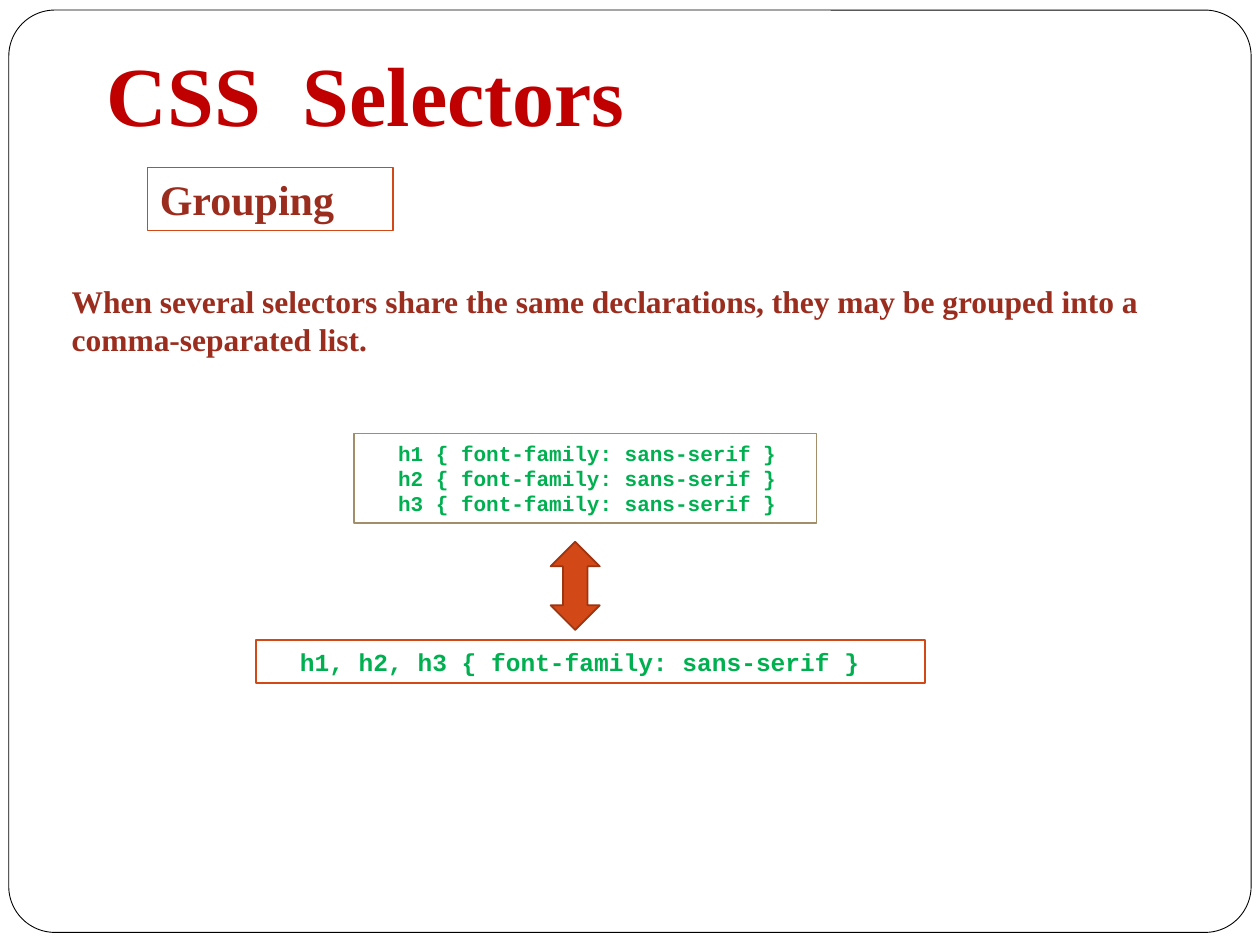
import dataclasses
import typing

import pptx
import pptx.dml.color
import pptx.enum.shapes
import pptx.enum.text
import pptx.util

Inches = pptx.util.Inches
Pt = pptx.util.Pt
Preset = pptx.enum.shapes.MSO_SHAPE
Anchor = pptx.enum.text.MSO_ANCHOR
Align = pptx.enum.text.PP_ALIGN


@dataclasses.dataclass(frozen=True)
class Theme:
    paper: str = "FFFFFF"
    border: str = "000000"
    heading: str = "C00000"
    prose: str = "9B2D1F"
    code: str = "00B050"
    accent: str = "D34817"
    accent_edge: str = "9C3511"
    sand: str = "A28E6A"
    serif: str = "Times New Roman"
    mono: str = "Courier New"
    heading_size: int = 48
    subheading_size: int = 24
    prose_size: int = 18
    rules_size: int = 12
    grouped_size: int = 14
    border_width: float = 0.5
    box_width: float = 1


THEME = Theme()


class Area(typing.NamedTuple):
    left: float
    top: float
    width: float
    height: float

    def lengths(self) -> list[pptx.util.Length]:
        return [Inches(value) for value in self]


class Style(typing.NamedTuple):
    font: str
    size: float
    color: str
    indent: float = 0.1
    anchor: Anchor = Anchor.TOP


@dataclasses.dataclass(frozen=True)
class Passage:
    area: Area
    lines: tuple[str, ...]
    style: Style
    outline: typing.Optional[str] = None


def rgb(color: str) -> pptx.dml.color.RGBColor:
    return pptx.dml.color.RGBColor.from_string(color)


def apply_format(target: typing.Any, values: dict[str, typing.Any]) -> None:
    for name, value in values.items():
        setattr(target, name, value)


def draw_shape(slide, preset: Preset, area: Area, fill: str, outline: str, width: float):
    shape = slide.shapes.add_shape(preset, *area.lengths())
    shape.shadow.inherit = False
    shape.fill.solid()
    shape.fill.fore_color.rgb = rgb(fill)
    shape.line.color.rgb = rgb(outline)
    shape.line.width = Pt(width)
    return shape


def draw_passage(slide, passage: Passage) -> None:
    if passage.outline:
        holder = draw_shape(slide, Preset.RECTANGLE, passage.area,
                            THEME.paper, passage.outline, THEME.box_width)
    else:
        holder = slide.shapes.add_textbox(*passage.area.lengths())
    style = passage.style
    frame = holder.text_frame
    apply_format(frame, {
        "word_wrap": True,
        "vertical_anchor": style.anchor,
        "margin_left": Inches(style.indent),
        "margin_right": Inches(0.1),
        "margin_top": Inches(0.05),
        "margin_bottom": Inches(0.05),
    })
    frame.text = "\n".join(passage.lines)
    for paragraph in frame.paragraphs:
        paragraph.alignment = Align.LEFT
        for run in paragraph.runs:
            apply_format(run.font, {"name": style.font, "size": Pt(style.size), "bold": True})
            run.font.color.rgb = rgb(style.color)


HEADING = Style(THEME.serif, THEME.heading_size, THEME.heading)
SUBHEADING = Style(THEME.serif, THEME.subheading_size, THEME.prose)
PROSE = Style(THEME.serif, THEME.prose_size, THEME.prose)
RULES = Style(THEME.mono, THEME.rules_size, THEME.code, 0.35, Anchor.MIDDLE)
GROUPED = RULES._replace(size=THEME.grouped_size)

SELECTORS = ("h1", "h2", "h3")
DECLARATION = "{ font-family: sans-serif }"

PASSAGES = (
    Passage(Area(0.75, 0.29, 7.69, 0.91), ("CSS  Selectors",), HEADING),
    Passage(Area(1.17, 1.33, 1.95, 0.5), ("Grouping",), SUBHEADING, THEME.accent),
    Passage(Area(0.47, 2.19, 8.83, 0.71),
            ("When several selectors share the same declarations, "
             "they may be grouped into a comma-separated list.",), PROSE),
    Passage(Area(2.81, 3.44, 3.67, 0.71),
            tuple(f"{selector} {DECLARATION}" for selector in SELECTORS), RULES, THEME.sand),
    Passage(Area(2.03, 5.08, 5.31, 0.34),
            (f"{', '.join(SELECTORS)} {DECLARATION}",), GROUPED, THEME.accent),
)


def main() -> None:
    deck = pptx.Presentation()
    apply_format(deck, {"slide_width": Inches(10), "slide_height": Inches(7.5)})
    slide = deck.slides.add_slide(deck.slide_layouts[6])

    page_border = draw_shape(slide, Preset.ROUNDED_RECTANGLE, Area(0.07, 0.08, 9.86, 7.32),
                             THEME.paper, THEME.border, THEME.border_width)
    page_border.adjustments[0] = 0.05
    for passage in PASSAGES:
        draw_passage(slide, passage)
    draw_shape(slide, Preset.UP_DOWN_ARROW, Area(4.37, 4.3, 0.39, 0.7),
               THEME.accent, THEME.accent_edge, THEME.box_width)

    deck.save("out.pptx")


if __name__ == "__main__":
    main()
